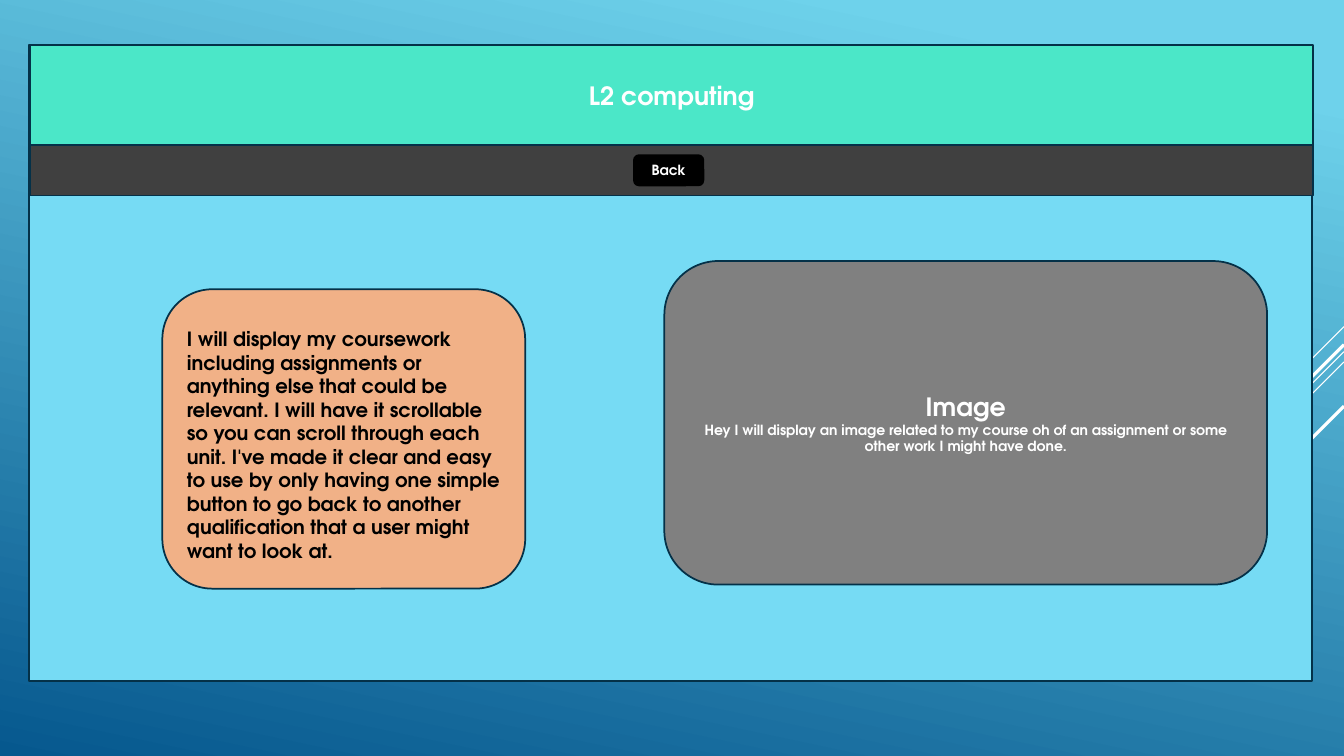
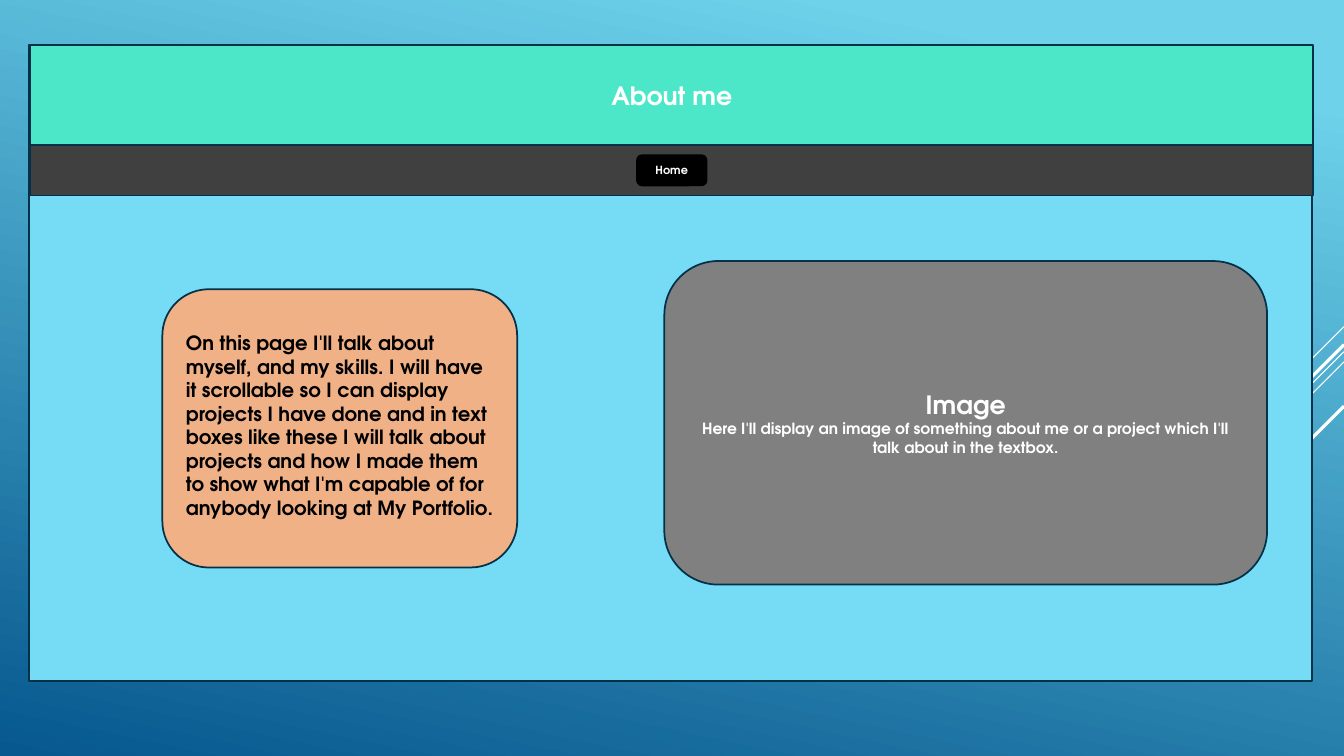
"""Build two web page mock-ups that share a frame, a header and a navigation bar."""
from collections import namedtuple

from lxml.etree import SubElement
from pptx import Presentation
from pptx.dml.color import RGBColor
from pptx.enum.shapes import MSO_CONNECTOR, MSO_SHAPE
from pptx.enum.text import MSO_ANCHOR, MSO_AUTO_SIZE, PP_ALIGN
from pptx.oxml.ns import qn
from pptx.util import Inches, Pt

COLOURS = {
    "sky": "6ED2EB", "deep": "06588E", "outline": "043148", "frame": "76DBF4",
    "header": "4BE7C8", "bar": "404040", "button": "000000", "note": "F1B187",
    "image": "808080", "light": "FFFFFF", "dark": "000000",
}
FONT = "TeX Gyre Adventor"
WIDTH, HEIGHT = Inches(13.33), Inches(7.5)
STREAKS = [(43.2, 7.5, 0.75), (46.53, 24.45, 0.75), (47.87, 15.6, 0.75),
           (45.6, 14.33, 2.25), (53.73, 10.42, 2.25)]


class Box(namedtuple("Box", "left top width height")):
    """A rectangle in percent of the slide's width and height."""

    def inside(self, left, top, width, height):
        """Return a box offset from this one's top left corner."""
        return Box(self.left + left, self.top + top, width, height)

    def lengths(self):
        """Return left, top, width and height as slide lengths."""
        return (across(self.left), down(self.top),
                across(self.width), down(self.height))


FRAME = Box(2.18, 6, 95.47, 84.13)


def across(percent):
    """Turn a share of the slide's width into a length."""
    return round(WIDTH * percent / 100)


def down(percent):
    """Turn a share of the slide's height into a length."""
    return round(HEIGHT * percent / 100)


def colour(name):
    """Look up a named colour."""
    return RGBColor.from_string(COLOURS[name])


def paint(shape, fill, outline="outline"):
    """Give a shape its fill and outline."""
    shape.fill.solid()
    shape.fill.fore_color.rgb = colour(fill)
    shape.line.color.rgb = colour(outline)
    shape.line.width = Pt(1.25)


def add_panel(page, box, fill, kind=MSO_SHAPE.ROUNDED_RECTANGLE, outline="outline"):
    """Add a flat filled shape in the box."""
    panel = page.shapes.add_shape(kind, *box.lengths())
    panel.shadow.inherit = False
    paint(panel, fill, outline)
    return panel


def write(shape, lines, ink="light", align=PP_ALIGN.CENTER, anchor=MSO_ANCHOR.MIDDLE):
    """Write (text, size) lines as bold paragraphs."""
    frame = shape.text_frame
    frame.word_wrap = True
    frame.auto_size = MSO_AUTO_SIZE.NONE
    frame.vertical_anchor = anchor
    frame.text = "\n".join(text for text, size in lines)
    for para, (text, size) in zip(frame.paragraphs, lines):
        para.alignment = align
        para.font.name = FONT
        para.font.size = Pt(size)
        para.font.bold = True
        para.font.color.rgb = colour(ink)


def set_background(master):
    """Give every slide the blue gradient."""
    fill = master.background.fill
    fill.gradient()
    fill.gradient_angle = 258
    for stop, position, name in zip(fill.gradient_stops, (0.1, 1), ("sky", "deep")):
        stop.position = position
        stop.color.rgb = colour(name)


def add_streaks(page):
    """Draw the diagonal streaks that start at the right edge."""
    for top, run, weight in STREAKS:
        drop = run * WIDTH / HEIGHT
        streak = page.shapes.add_connector(
            MSO_CONNECTOR.STRAIGHT, WIDTH, down(top), across(100 - run), down(top + drop))
        streak.line.color.rgb = colour("light")
        streak.line.width = Pt(weight)
        SubElement(streak.element.spPr, qn("a:effectLst"))


def add_header(page, box, text):
    """Turn the title placeholder into the header band."""
    title = page.shapes.title
    title.left, title.top, title.width, title.height = box.lengths()
    paint(title, "header")
    write(title, [(text, 18)])
    title.element.getparent().append(title.element)


def add_navigation(page, box, label, size, offset):
    """Add the dark bar with its one button."""
    add_panel(page, box, "bar", MSO_SHAPE.RECTANGLE)
    button = add_panel(page, box.inside(offset, 1.33, 5.17, 4), "button", outline="button")
    write(button, [(label, size)])


def add_note(page, box, text, top_margin):
    """Add the rounded note with left-aligned text."""
    note = add_panel(page, box, "note")
    write(note, [(text, 14)], "dark", PP_ALIGN.LEFT, MSO_ANCHOR.TOP)
    note.text_frame.margin_top = Inches(top_margin)


def add_image_panel(page, box, caption, size):
    """Add the grey panel that stands for an image."""
    write(add_panel(page, box, "image"), [("Image", 18), (caption, size)])


def add_page(deck, title, button, note, note_size, note_margin, caption):
    """Add one mock-up page."""
    page = deck.slides.add_slide(deck.slide_layouts[5])
    add_streaks(page)
    add_panel(page, FRAME, "frame", MSO_SHAPE.RECTANGLE)
    add_note(page, FRAME.inside(9.9, 32.27, *note_size), note, note_margin)
    add_image_panel(page, FRAME.inside(47.25, 28.53, 44.85, 42.8), *caption)
    add_header(page, FRAME.inside(0.07, 0, FRAME.width, 13.2), title)
    add_navigation(page, FRAME.inside(0.07, 13.2, FRAME.width, 6.67), *button)


def main():
    """Build and save the deck."""
    deck = Presentation()
    deck.slide_width, deck.slide_height = WIDTH, HEIGHT
    set_background(deck.slide_master)
    add_page(
        deck, "L2 computing", ("Back", 10, 44.92),
        "I will display my coursework including assignments or anything else that could "
        "be relevant. I will have it scrollable so you can scroll through each unit. "
        "I've made it clear and easy to use by only having one simple button to go back "
        "to another qualification that a user might want to look at.",
        (27, 39.6), 0.23,
        ("Hey I will display an image related to my course oh of an assignment or some "
         "other work I might have done.", 10))
    add_page(
        deck, "About me", ("Home", 8, 45.15),
        "On this page I'll talk about myself, and my skills. I will have it scrollable "
        "so I can display projects I have done and in text boxes like these I will talk "
        "about projects and how I made them to show what I'm capable of for anybody "
        "looking at My Portfolio.",
        (26.4, 36.8), 0.28,
        ("Here I'll display an image of something about me or a project which I'll talk "
         "about in the textbox.", 11))
    deck.save("out.pptx")


main()
